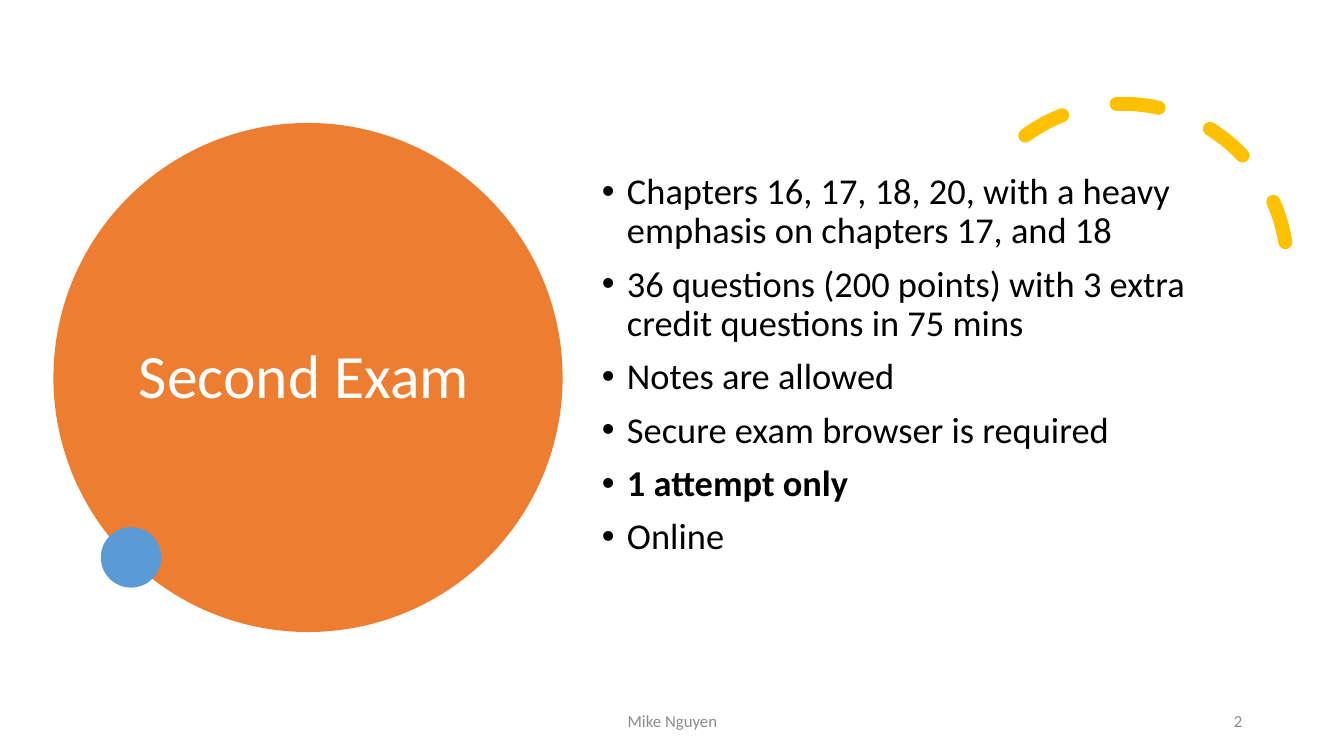
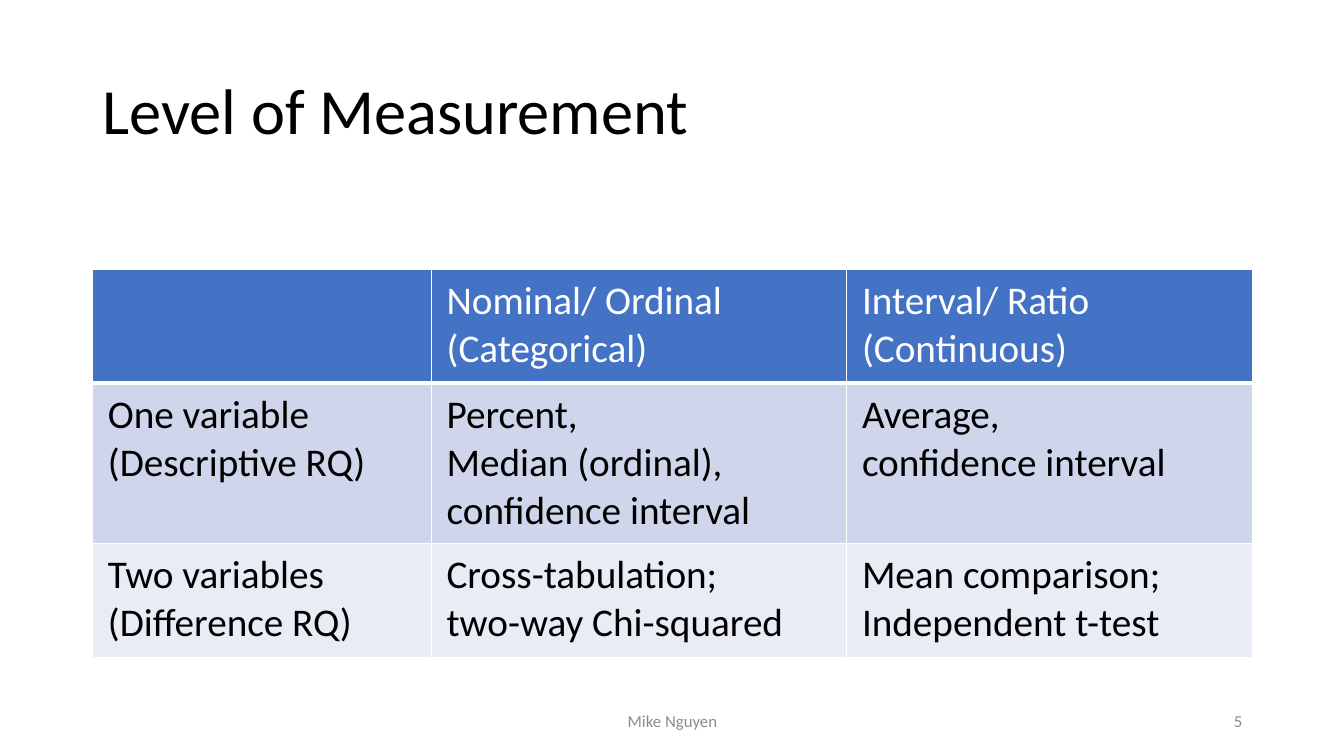
from lxml.etree import SubElement
from pptx import Presentation
from pptx.dml.color import RGBColor
from pptx.enum.dml import MSO_LINE
from pptx.enum.shapes import MSO_SHAPE
from pptx.enum.text import MSO_ANCHOR, PP_ALIGN
from pptx.oxml.ns import qn
from pptx.util import Inches, Pt

FONT = "Calibri"
WHITE, BLACK, GRAY = "FFFFFF", "000000", "8C8C8C"
ORANGE, GOLD, SKY = "ED7D31", "FFC000", "5B9BD5"
HEADER_BLUE, BAND_DARK, BAND_LIGHT = "4472C4", "CFD5EA", "E9EBF5"

TITLE_FORMAT = {"line_spacing": 0.9}
BULLET_FORMAT = {"line_spacing": 0.9, "space_before": Pt(10)}
CELL_MARGINS = {
    "margin_left": Inches(0.15),
    "margin_right": Inches(0.15),
    "margin_top": Inches(0.08),
    "margin_bottom": Inches(0.08),
}

EXAM_POINTS = [
    ("Chapters 16, 17, 18, 20, with a heavy emphasis on chapters 17, and 18", False),
    ("36 questions (200 points) with 3 extra credit questions in 75 mins", False),
    ("Notes are allowed", False),
    ("Secure exam browser is required", False),
    ("1 attempt only", True),
    ("Online", False),
]

COLUMN_WIDTHS = [3.36, 4.12, 4.02]
ROW_HEIGHTS = [1.13, 1.59, 1.13]
ROW_FILLS = [HEADER_BLUE, BAND_DARK, BAND_LIGHT]
MEASUREMENT_ROWS = [
    [[], ["Nominal/ Ordinal (Categorical)"], ["Interval/ Ratio (Continuous)"]],
    [
        ["One variable", "(Descriptive RQ)"],
        ["Percent,", "Median (ordinal),", "confidence interval"],
        ["Average,", "confidence interval"],
    ],
    [
        ["Two variables", "(Difference RQ)"],
        ["Cross-tabulation;", "two-way Chi-squared"],
        ["Mean comparison; Independent t-test"],
    ],
]


def rgb(value):
    """Return the colour for a hex string."""
    return RGBColor.from_string(value)


def apply(target, values):
    """Set each attribute named in values on the target."""
    for name, value in values.items():
        setattr(target, name, value)


def add_span(para, text, size, color, bold=False):
    """Add a run of formatted text to a paragraph."""
    span = para.add_run()
    span.text = text
    apply(span.font, {"name": FONT, "size": Pt(size), "bold": bold})
    span.font.color.rgb = rgb(color)


def paragraphs(frame, count):
    """Yield count paragraphs, starting with the one already in the frame."""
    for index in range(count):
        yield frame.add_paragraph() if index else frame.paragraphs[0]


def add_frame(page, area, anchor=MSO_ANCHOR.MIDDLE):
    """Add a wrapping text box and return its text frame."""
    frame = page.shapes.add_textbox(*map(Inches, area)).text_frame
    apply(frame, {"word_wrap": True, "vertical_anchor": anchor})
    return frame


def add_line(page, area, text, size, color, para_format):
    """Add a text box that holds one formatted paragraph."""
    para = add_frame(page, area).paragraphs[0]
    apply(para, para_format)
    add_span(para, text, size, color)


def add_footer(page, number):
    """Add the author name and page number."""
    for left, width, text, alignment in (
        (4.42, 4.5, "Mike Nguyen", PP_ALIGN.CENTER),
        (9.42, 3, str(number), PP_ALIGN.RIGHT),
    ):
        add_line(page, (left, 6.95, width, 0.4), text, 12, GRAY, {"alignment": alignment})


def add_circle(page, left, top, diameter, color):
    """Add a plain filled circle."""
    circle = page.shapes.add_shape(
        MSO_SHAPE.OVAL, *map(Inches, (left, top, diameter, diameter))
    )
    circle.shadow.inherit = False
    circle.fill.solid()
    circle.fill.fore_color.rgb = rgb(color)
    circle.line.fill.background()


def add_dashed_arc(page, left, top, diameter):
    """Add the thick gold arc with round dashes."""
    arc = page.shapes.add_shape(
        MSO_SHAPE.ARC, *map(Inches, (left, top, diameter, diameter))
    )
    arc.shadow.inherit = False
    arc.adjustments[0], arc.adjustments[1] = 158.17, 17.81
    arc.rotation = 330.2
    arc.fill.background()
    arc.line.color.rgb = rgb(GOLD)
    apply(arc.line, {"width": Pt(10), "dash_style": MSO_LINE.DASH})
    arc.element.spPr.find(qn("a:ln")).set("cap", "rnd")


def add_bullets(page, area, points, size):
    """Add a bulleted list of (text, bold) points."""
    frame = add_frame(page, area, MSO_ANCHOR.TOP)
    for para, (text, bold) in zip(paragraphs(frame, len(points)), points):
        apply(para, BULLET_FORMAT)
        properties = para._p.get_or_add_pPr()
        properties.set("marL", str(Inches(0.25)))
        properties.set("indent", str(Inches(-0.25)))
        SubElement(properties, qn("a:buFont"), typeface="Arial")
        SubElement(properties, qn("a:buChar"), char="•")
        add_span(para, text, size, BLACK, bold)


def set_borders(cell, top_width, bottom_width):
    """Draw white borders around a cell."""
    properties = cell._tc.get_or_add_tcPr()
    for side, width in (("L", 1), ("R", 1), ("T", top_width), ("B", bottom_width)):
        border = SubElement(properties, qn(f"a:ln{side}"), w=str(Pt(width)))
        fill = SubElement(border, qn("a:solidFill"))
        SubElement(fill, qn("a:srgbClr"), val=WHITE)


def fill_cell(cell, lines, is_header, color):
    """Format one table cell and write its lines."""
    apply(cell, CELL_MARGINS)
    set_borders(cell, 1, 3 if is_header else 1)
    cell.fill.solid()
    cell.fill.fore_color.rgb = rgb(color)
    for para, text in zip(paragraphs(cell.text_frame, len(lines)), lines):
        add_span(para, text, 28, WHITE if is_header else BLACK)


def add_measurement_table(page, left, top):
    """Add the table of measures by variable type."""
    size = (sum(COLUMN_WIDTHS), sum(ROW_HEIGHTS))
    table = page.shapes.add_table(
        len(ROW_HEIGHTS), len(COLUMN_WIDTHS), *map(Inches, (left, top, *size))
    ).table
    for column, width in zip(table.columns, COLUMN_WIDTHS):
        column.width = Inches(width)
    for index, (row, height) in enumerate(zip(table.rows, ROW_HEIGHTS)):
        row.height = Inches(height)
        for cell, lines in zip(row.cells, MEASUREMENT_ROWS[index]):
            fill_cell(cell, lines, index == 0, ROW_FILLS[index])


def build_exam_page(page):
    """Build the exam overview."""
    add_circle(page, 0.53, 1.22, 5.05, ORANGE)
    add_line(page, (1.28, 1.53, 3.54, 4.45), "Second Exam", 44, WHITE, TITLE_FORMAT)
    add_dashed_arc(page, 9.5, 1.03, 3.27)
    add_circle(page, 1, 5.23, 0.6, SKY)
    add_bullets(page, (5.87, 1.67, 6.05, 4.3), EXAM_POINTS, 26)
    add_footer(page, 2)


def build_measurement_page(page):
    """Build the measurement level overview."""
    add_line(page, (0.92, 0.4, 11.5, 1.45), "Level of Measurement", 46, BLACK, TITLE_FORMAT)
    add_measurement_table(page, 0.92, 2.67)
    add_footer(page, 5)


def main():
    """Build and save the deck."""
    deck = Presentation()
    apply(deck, {"slide_width": Inches(13.33), "slide_height": Inches(7.5)})
    for build in (build_exam_page, build_measurement_page):
        build(deck.slides.add_slide(deck.slide_layouts[6]))
    deck.save("out.pptx")


if __name__ == "__main__":
    main()
